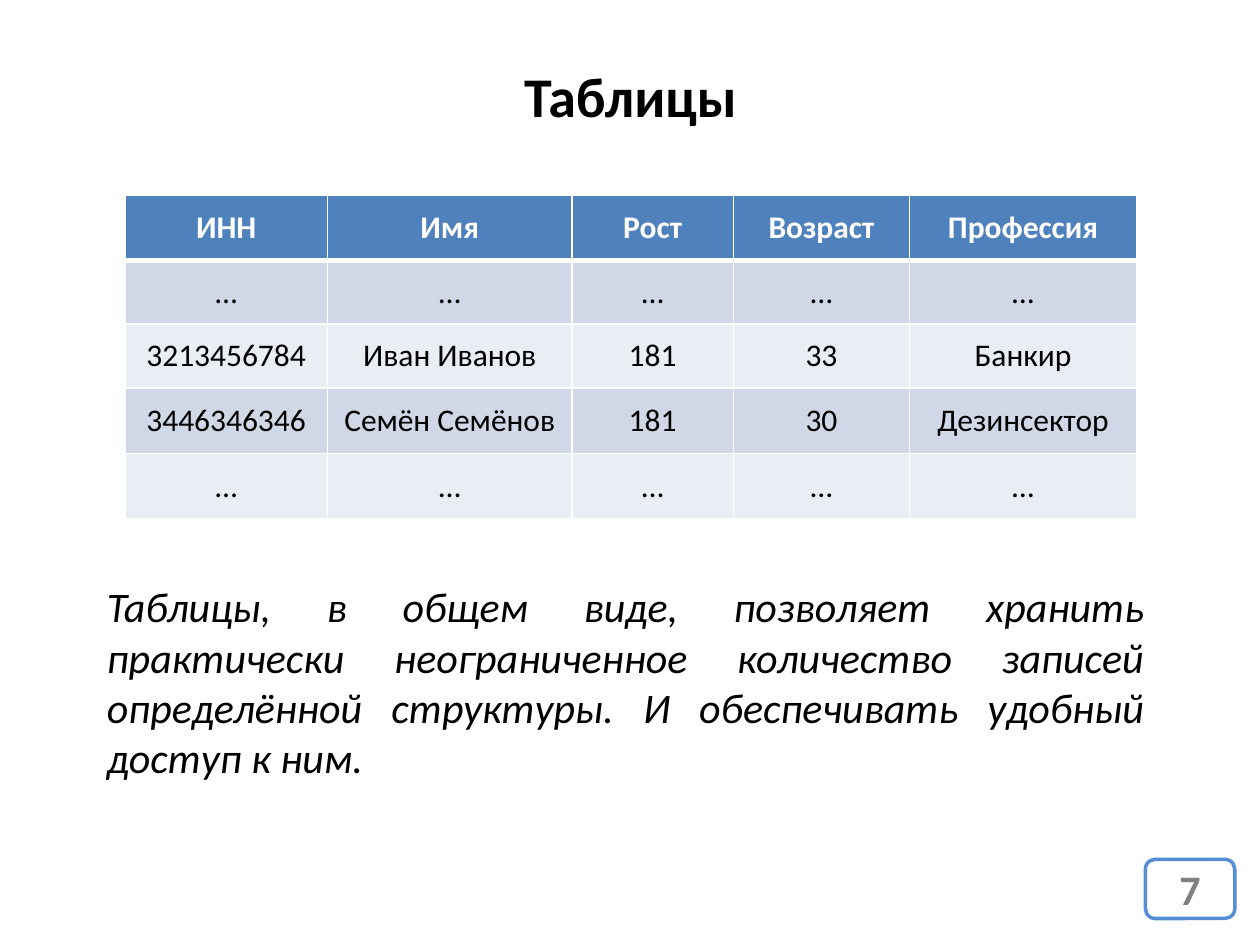
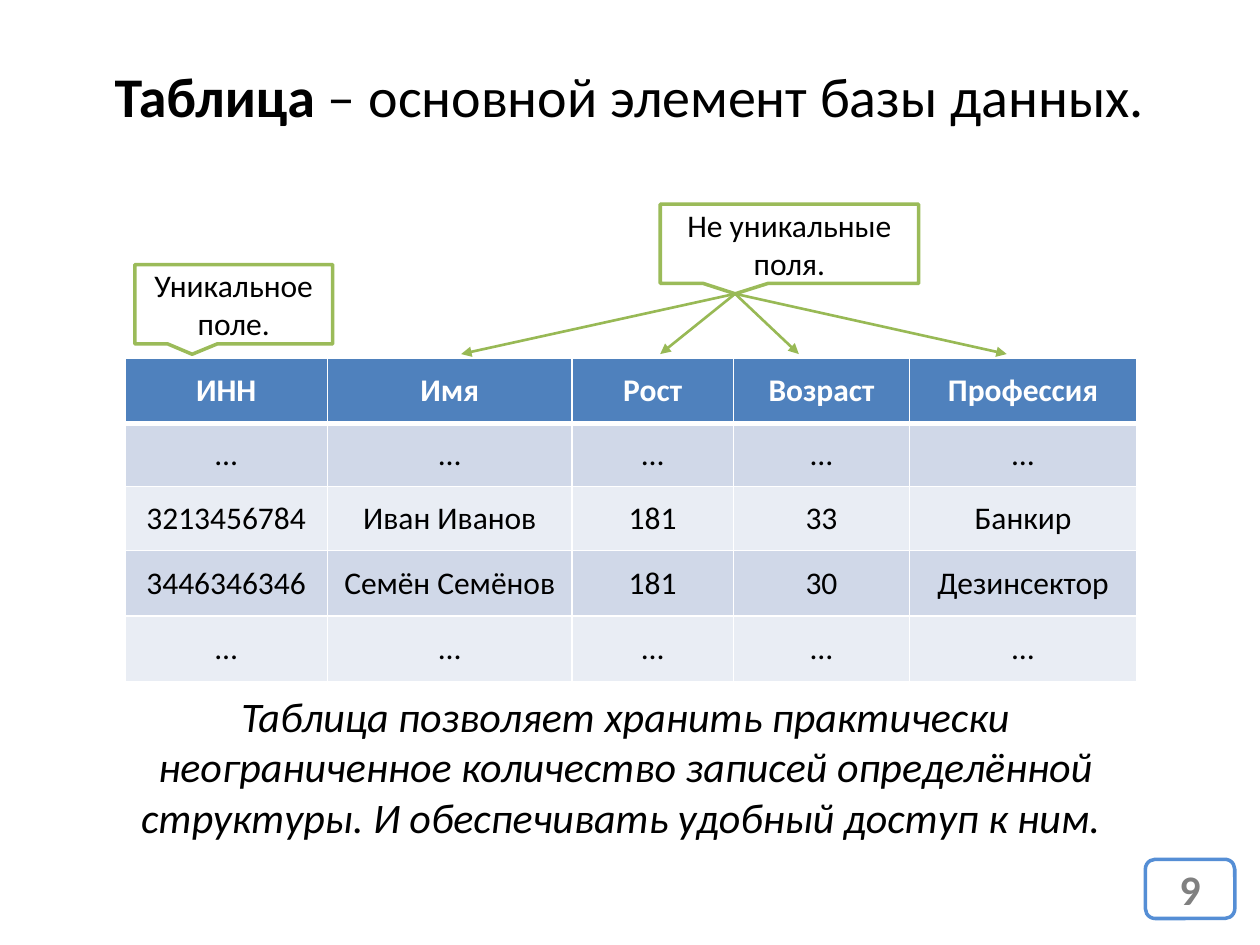
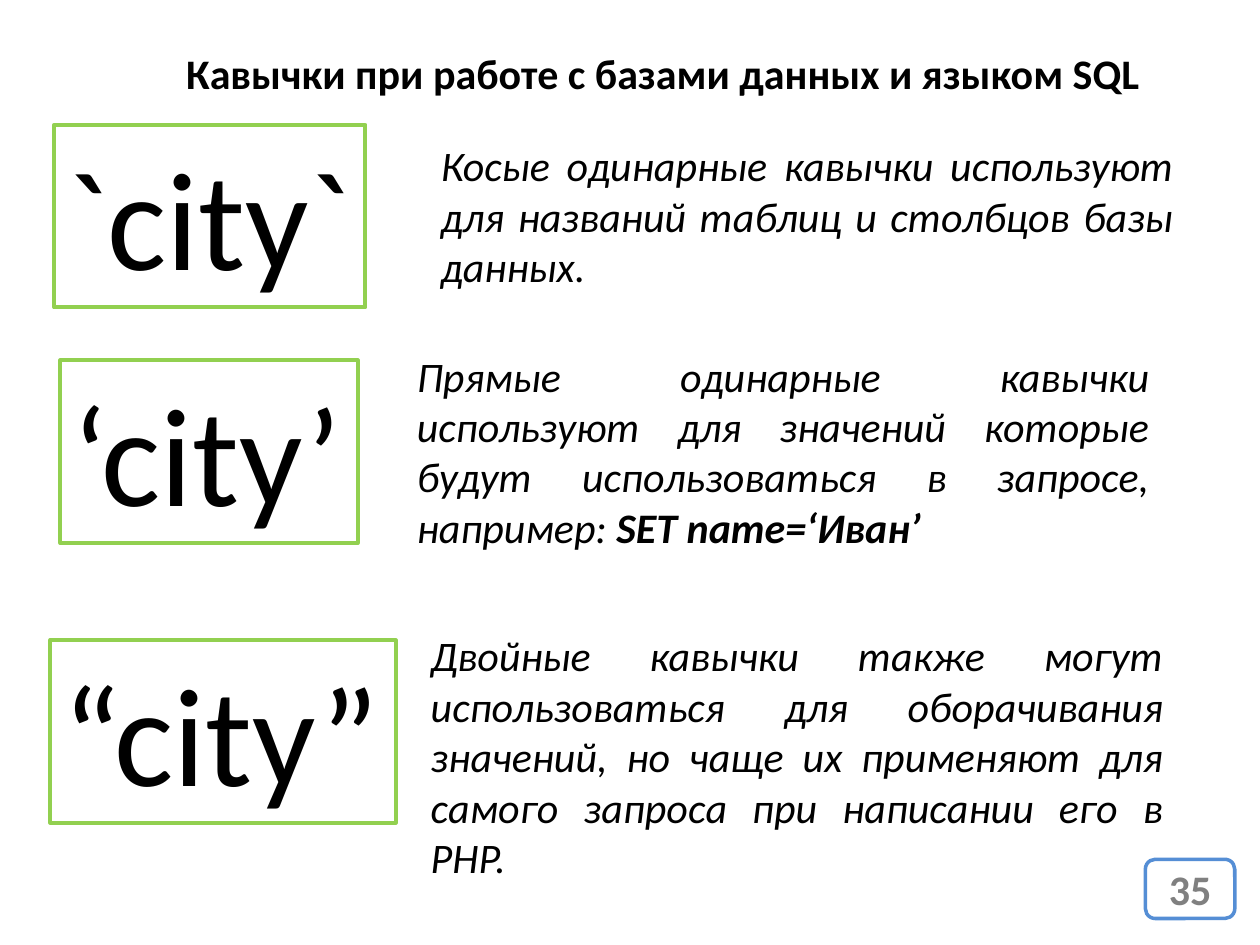
from typing import NamedTuple, Optional

import lxml.etree
import pptx
import pptx.dml.color
import pptx.enum.shapes
import pptx.enum.text
import pptx.oxml.ns
import pptx.presentation
import pptx.shapes.autoshape
import pptx.slide
import pptx.text.text
import pptx.util
from pptx.util import Inches

ALIGN = pptx.enum.text.PP_ALIGN
ANCHOR = pptx.enum.text.MSO_ANCHOR
SHAPE = pptx.enum.shapes.MSO_SHAPE

# Shared style
FONT = "Calibri"
BLACK, WHITE = "000000", "FFFFFF"
HEADER_FILL = "4F81BD"
BAND_FILLS = ("D0D8E8", "E9EDF4")
BADGE_LINE, BADGE_TEXT = "558ED5", "808080"
CALLOUT_LINE, ARROW_LINE, SAMPLE_LINE = "9BBB59", "98B955", "92D050"

# The table of people
COLUMN_WIDTHS = (1.61, 1.94, 1.28, 1.4, 1.8)
ROW_HEIGHTS = (0.52, 0.5, 0.51, 0.52, 0.52)
ELLIPSIS_ROW = ("…",) * len(COLUMN_WIDTHS)
PEOPLE = (
    ("ИНН", "Имя", "Рост", "Возраст", "Профессия"),
    ELLIPSIS_ROW,
    ("3213456784", "Иван Иванов", "181", "33", "Банкир"),
    ("3446346346", "Семён Семёнов", "181", "30", "Дезинсектор"),
    ELLIPSIS_ROW,
)


class Box(NamedTuple):
    left: float
    top: float
    width: float
    height: float


class TextStyle(NamedTuple):
    size: float
    color: str = BLACK
    bold: bool = False
    italic: bool = False
    align: ALIGN = ALIGN.CENTER


class Outline(NamedTuple):
    color: str
    width: float


class Callout(NamedTuple):
    box: Box
    text: str


class QuoteRule(NamedTuple):
    sample: str
    sample_box: Box
    rule: str
    rule_box: Box
    example: str = ""


TITLE = TextStyle(32, bold=True)
SMALL_TITLE = TextStyle(24, bold=True, align=ALIGN.LEFT)
NOTE = TextStyle(24, italic=True)
JUSTIFIED_NOTE = NOTE._replace(align=ALIGN.JUSTIFY)
CELL = TextStyle(18)
HEADER_CELL = TextStyle(18, WHITE, bold=True)
SAMPLE = TextStyle(80, align=ALIGN.LEFT)
BADGE = TextStyle(24, BADGE_TEXT, bold=True)

UNIQUE = Callout(Box(1.07, 2.1, 1.57, 0.63), "Уникальное поле.")
NOT_UNIQUE = Callout(Box(5.24, 1.62, 2.05, 0.63), "Не уникальные поля.")
CALLOUT_TIP = (-0.21, 0.63)  # offset from the centre, in parts of the box
FIELD_XS = (3.66, 5.24, 6.34, 7.99)
FIELD_Y = 2.81

QUOTE_RULES = (
    QuoteRule("`city`", Box(0.43, 0.99, 2.47, 1.45),
              "Косые одинарные кавычки используют для названий таблиц "
              "и столбцов базы данных.", Box(3.4, 1.06, 6.01, 1.31)),
    QuoteRule("‘city’", Box(0.48, 2.86, 2.36, 1.45),
              "Прямые одинарные кавычки используют для значений которые "
              "будут использоваться в запросе, например: ",
              Box(3.21, 2.73, 6.01, 1.72), "SET name=‘Иван’"),
    QuoteRule("“city”", Box(0.4, 5.08, 2.74, 1.45),
              "Двойные кавычки также могут использоваться для оборачивания "
              "значений, но чаще их применяют для самого запроса при "
              "написании его в PHP.", Box(3.32, 4.95, 6.01, 2.12)),
)


def rgb(color: str) -> pptx.dml.color.RGBColor:
    return pptx.dml.color.RGBColor.from_string(color)


def inches(box: Box) -> list[pptx.util.Length]:
    return [Inches(length) for length in box]


def write(frame: pptx.text.text.TextFrame, text: str, style: TextStyle) -> None:
    paragraph = frame.paragraphs[0]
    paragraph.alignment = style.align
    paragraph.add_run().text = text
    font = paragraph.font
    font.name, font.size = FONT, pptx.util.Pt(style.size)
    font.bold, font.italic = style.bold, style.italic
    font.color.rgb = rgb(style.color)


def add_bold_change(frame: pptx.text.text.TextFrame, text: str, bold: bool) -> None:
    run = frame.paragraphs[0].add_run()
    run.text = text
    run.font.bold = bold


def fit(frame: pptx.text.text.TextFrame, wrap: bool) -> None:
    frame.word_wrap = wrap
    frame.auto_size = pptx.enum.text.MSO_AUTO_SIZE.SHAPE_TO_FIT_TEXT


def add_text(slide: pptx.slide.Slide, box: Box, text: str, style: TextStyle,
             wrap: bool = True) -> pptx.text.text.TextFrame:
    frame = slide.shapes.add_textbox(*inches(box)).text_frame
    fit(frame, wrap)
    write(frame, text, style)
    return frame


def add_frame(slide: pptx.slide.Slide, preset: SHAPE, box: Box, outline: Outline,
              text: str, style: TextStyle,
              fill: Optional[str] = WHITE) -> pptx.shapes.autoshape.Shape:
    frame = slide.shapes.add_shape(preset, *inches(box))
    frame.shadow.inherit = False
    if fill:
        frame.fill.solid()
        frame.fill.fore_color.rgb = rgb(fill)
    else:
        frame.fill.background()
    frame.line.color.rgb = rgb(outline.color)
    frame.line.width = pptx.util.Pt(outline.width)
    frame.text_frame.vertical_anchor = ANCHOR.MIDDLE
    write(frame.text_frame, text, style)
    return frame


def add_callout(slide: pptx.slide.Slide, callout: Callout) -> tuple[float, float]:
    """Draw a callout and return the point of its tip."""
    box = callout.box
    bubble = add_frame(slide, SHAPE.RECTANGULAR_CALLOUT, box,
                       Outline(CALLOUT_LINE, 2), callout.text, CELL)
    bubble.adjustments[0], bubble.adjustments[1] = CALLOUT_TIP
    return (box.left + box.width * (0.5 + CALLOUT_TIP[0]),
            box.top + box.height * (0.5 + CALLOUT_TIP[1]))


def add_arrow(slide: pptx.slide.Slide, start: tuple[float, float],
              end: tuple[float, float]) -> None:
    arrow = slide.shapes.add_connector(
        pptx.enum.shapes.MSO_CONNECTOR.STRAIGHT,
        *(Inches(length) for length in start + end))
    arrow.line.color.rgb = rgb(ARROW_LINE)
    arrow.line.width = pptx.util.Pt(1.5)
    qn = pptx.oxml.ns.qn
    lxml.etree.SubElement(arrow.line._get_or_add_ln(), qn("a:tailEnd"), type="triangle")
    lxml.etree.SubElement(arrow._element.spPr, qn("a:effectLst"))


def set_borders(cell, bottom_width: float) -> None:
    qn = pptx.oxml.ns.qn
    properties = cell._tc.get_or_add_tcPr()
    for side, width in (("L", 1), ("R", 1), ("T", 1), ("B", bottom_width)):
        border = lxml.etree.SubElement(properties, qn(f"a:ln{side}"),
                                       w=str(pptx.util.Pt(width)))
        paint = lxml.etree.SubElement(border, qn("a:solidFill"))
        lxml.etree.SubElement(paint, qn("a:srgbClr"), val=WHITE)


def add_people(slide: pptx.slide.Slide, top: float) -> None:
    box = Box(0.99, top, sum(COLUMN_WIDTHS), sum(ROW_HEIGHTS))
    people = slide.shapes.add_table(len(PEOPLE), len(COLUMN_WIDTHS), *inches(box)).table
    for column, width in zip(people.columns, COLUMN_WIDTHS):
        column.width = Inches(width)
    for row, height in zip(people.rows, ROW_HEIGHTS):
        row.height = Inches(height)
    for r, values in enumerate(PEOPLE):
        is_header = r == 0
        for c, value in enumerate(values):
            cell = people.cell(r, c)
            # The header and the row under it share one thick border
            set_borders(cell, 3 if is_header else 1)
            cell.fill.solid()
            cell.fill.fore_color.rgb = rgb(HEADER_FILL if is_header else BAND_FILLS[(r - 1) % 2])
            cell.vertical_anchor = ANCHOR.MIDDLE
            write(cell.text_frame, value, HEADER_CELL if is_header else CELL)


def add_slide(deck: pptx.presentation.Presentation, number: int) -> pptx.slide.Slide:
    slide = deck.slides.add_slide(deck.slide_layouts[6])
    add_frame(slide, SHAPE.ROUNDED_RECTANGLE, Box(9.09, 6.82, 0.71, 0.47),
              Outline(BADGE_LINE, 2), str(number), BADGE)
    return slide


def build_tables(deck: pptx.presentation.Presentation) -> None:
    slide = add_slide(deck, 7)
    add_text(slide, Box(4.05, 0.44, 1.91, 0.64), "Таблицы", TITLE, wrap=False)
    add_people(slide, 1.55)
    add_text(slide, Box(0.75, 4.56, 8.43, 1.72),
             "Таблицы, в общем виде, позволяет хранить практически неограниченное "
             "количество записей определённой структуры. И обеспечивать удобный "
             "доступ к ним. ", JUSTIFIED_NOTE)


def build_fields(deck: pptx.presentation.Presentation) -> None:
    slide = add_slide(deck, 9)
    title = add_text(slide, Box(0.77, 0.44, 8.46, 0.64), "Таблица", TITLE, wrap=False)
    add_bold_change(title, " – основной элемент базы данных.", False)
    add_people(slide, 2.84)
    add_text(slide, Box(0.75, 5.43, 8.43, 1.31),
             "Таблица позволяет хранить практически неограниченное количество "
             "записей определённой структуры. И обеспечивать удобный доступ "
             "к ним. ", NOTE)
    # Callouts, with arrows from one tip to every field that is not unique
    tip = add_callout(slide, NOT_UNIQUE)
    add_callout(slide, UNIQUE)
    for field_x in FIELD_XS:
        add_arrow(slide, tip, (field_x, FIELD_Y))


def build_quotes(deck: pptx.presentation.Presentation) -> None:
    slide = add_slide(deck, 35)
    add_text(slide, Box(1.38, 0.33, 7.84, 0.5),
             "Кавычки при работе с базами данных и языком SQL", SMALL_TITLE, wrap=False)
    for quote in QUOTE_RULES:
        sample = add_frame(slide, SHAPE.RECTANGLE, quote.sample_box,
                           Outline(SAMPLE_LINE, 2.25), quote.sample, SAMPLE, fill=None)
        sample.text_frame.vertical_anchor = ANCHOR.TOP
        fit(sample.text_frame, wrap=False)
        rule = add_text(slide, quote.rule_box, quote.rule, JUSTIFIED_NOTE)
        if quote.example:
            add_bold_change(rule, quote.example, True)


def main() -> None:
    deck = pptx.Presentation()
    deck.slide_width, deck.slide_height = Inches(10), Inches(7.5)
    build_tables(deck)
    build_fields(deck)
    build_quotes(deck)
    deck.save("out.pptx")


if __name__ == "__main__":
    main()
